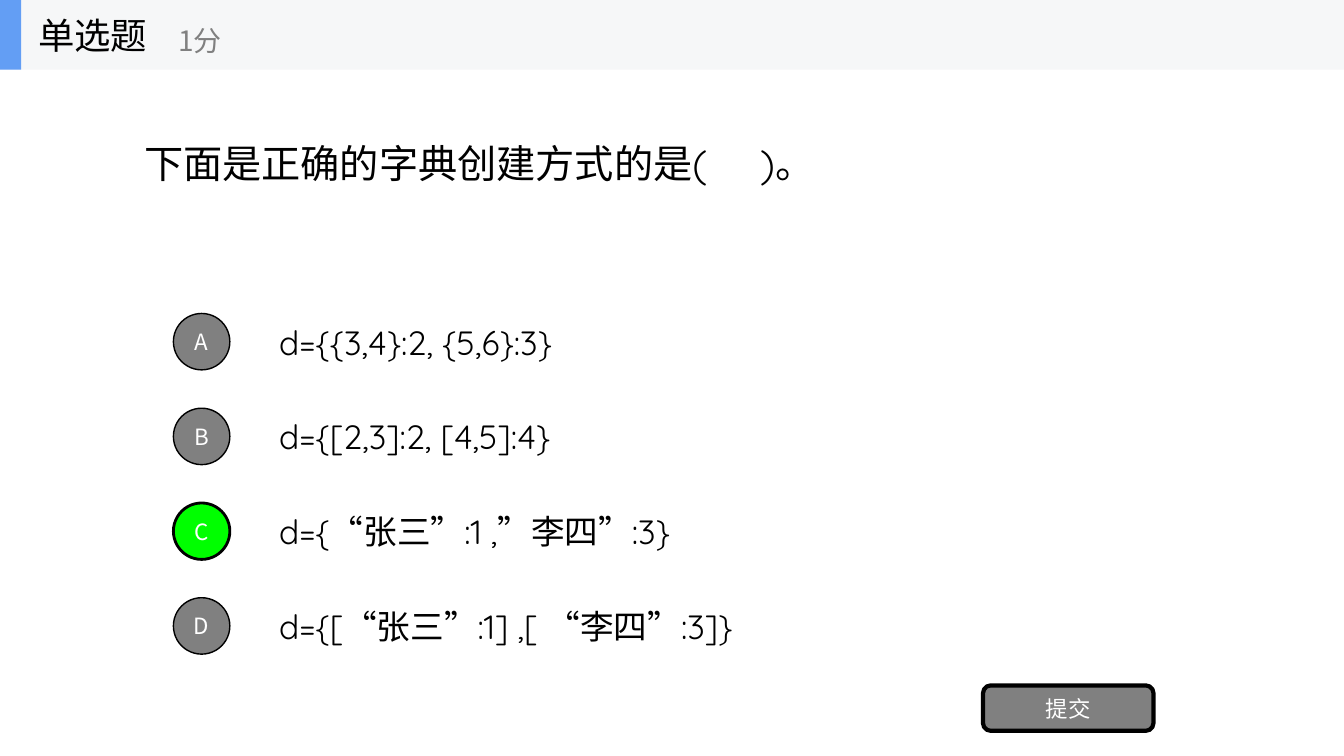
from pptx import Presentation
from pptx.dml.color import RGBColor
from pptx.enum.shapes import MSO_SHAPE
from pptx.enum.text import MSO_ANCHOR, MSO_AUTO_SIZE, PP_ALIGN
from pptx.oxml import parse_xml
from pptx.oxml.ns import nsdecls
from pptx.util import Inches, Pt

SANS = "Noto Sans CJK SC"
ROUNDED = "Quicksand"
GREY = "808080"


def write(box, text, size, font, color, align=PP_ALIGN.LEFT, wrap=True):
    frame = box.text_frame
    frame.auto_size = MSO_AUTO_SIZE.NONE
    frame.word_wrap = wrap
    frame.vertical_anchor = MSO_ANCHOR.MIDDLE
    para = frame.paragraphs[0]
    para.alignment = align
    span = para.add_run()
    span.text = text
    span.font.size = Pt(size)
    span.font.name = font
    span.font.color.rgb = RGBColor.from_string(color)
    east_asian = parse_xml(f'<a:ea {nsdecls("a")} typeface="{SANS}"/>')
    span.font._element.append(east_asian)


def add_filled(kind, left, top, width, height, fill, line_width=0):
    shape = page.shapes.add_shape(
        kind, Inches(left), Inches(top), Inches(width), Inches(height))
    shape.shadow.inherit = False
    shape.fill.solid()
    shape.fill.fore_color.rgb = RGBColor.from_string(fill)
    if line_width:
        shape.line.color.rgb = RGBColor.from_string("000000")
        shape.line.width = Pt(line_width)
    else:
        shape.line.fill.background()
    return shape


deck = Presentation()
deck.slide_width = Inches(13.33)
deck.slide_height = Inches(7.5)
page = deck.slides.add_slide(deck.slide_layouts[5])

question = page.shapes.title
question.left, question.top = Inches(1.33), Inches(0.69)
question.width, question.height = Inches(10.67), Inches(2.34)
write(question, "下面是正确的字典创建方式的是(     )。", 28, ROUNDED, "000000")
question.text_frame.margin_bottom = Inches(0.54)

options = [
    ("A", "d={{3,4}:2, {5,6}:3}", GREY, 1),
    ("B", "d={[2,3]:2, [4,5]:4}", GREY, 1),
    ("C", "d={“张三”:1 ,”李四”:3}", "00FF00", 2),
    ("D", "d={[“张三”:1] ,[ “李四”:3]}", GREY, 1),
]
for index, (letter, answer, fill, line_width) in enumerate(options):
    top = 3.04 + 0.94 * index
    answer_box = page.shapes.add_textbox(
        Inches(2.67), Inches(top), Inches(9.33), Inches(0.7))
    write(answer_box, answer, 24, ROUNDED, "000000")
    badge = add_filled(
        MSO_SHAPE.OVAL, 1.72, top + 0.07, 0.56, 0.56, fill, line_width)
    write(badge, letter, 16, SANS, "FFFFFF", PP_ALIGN.CENTER)
    badge.text_frame.margin_left = badge.text_frame.margin_right = 0

submit = add_filled(
    MSO_SHAPE.ROUNDED_RECTANGLE, 9.75, 6.8, 1.69, 0.45, GREY, 3)
write(submit, "提交", 16, SANS, "FFFFFF", PP_ALIGN.CENTER)

add_filled(MSO_SHAPE.RECTANGLE, 0, 0, 13.33, 0.69, "F6F7F8")
add_filled(MSO_SHAPE.RECTANGLE, 0, 0, 0.21, 0.69, "639EF4")

header_labels = [
    ("单选题", 0.28, 0, 2.08, 0.69, 26, "000000"),
    ("1分", 1.67, 0.12, 2.5, 0.56, 20, GREY),
]
for text, left, top, width, height, size, color in header_labels:
    label = page.shapes.add_textbox(
        Inches(left), Inches(top), Inches(width), Inches(height))
    write(label, text, size, SANS, color, wrap=False)

deck.save("out.pptx")
